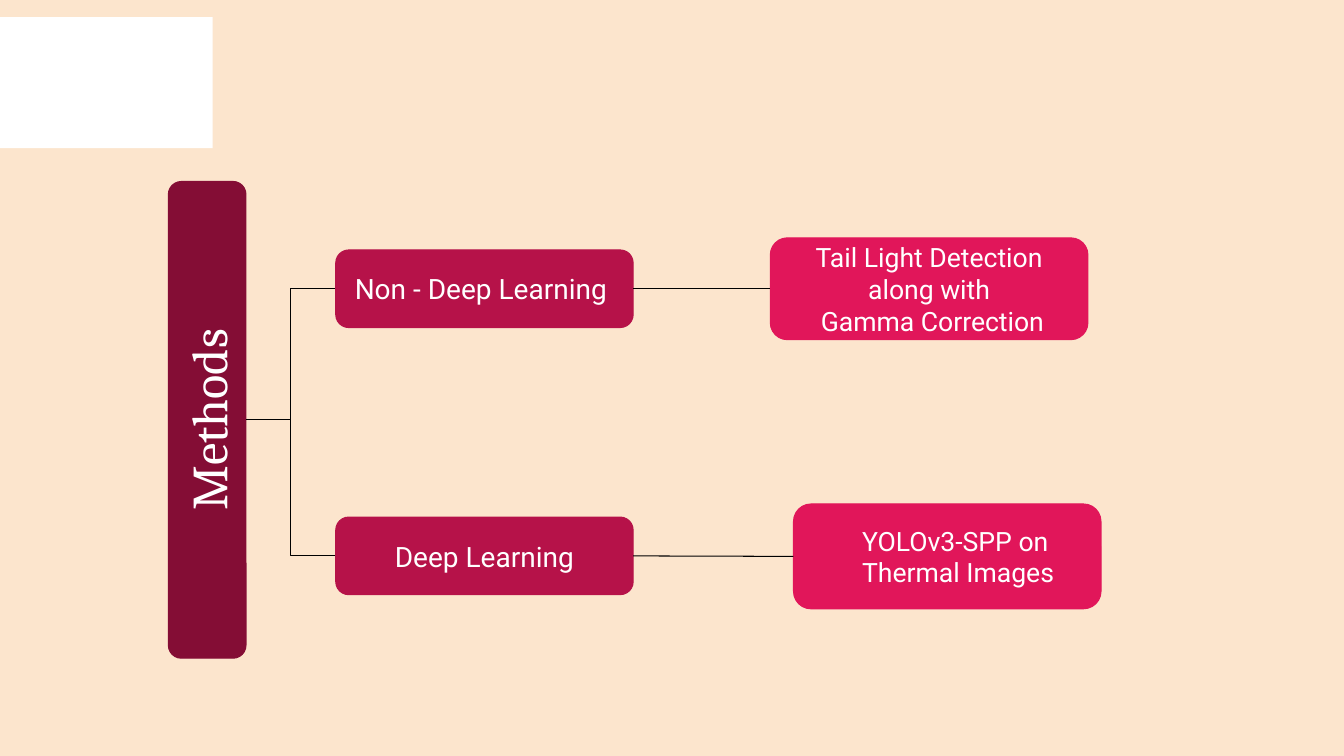
from lxml import etree
from pptx import Presentation
from pptx import util as u
from pptx.dml.color import RGBColor
from pptx.enum import shapes, text
from pptx.oxml.ns import qn

BACKGROUND, WHITE, BLACK = "FCE5CD", "FFFFFF", "000000"
ROOT, BRANCH, LEAF = "840D35", "B61249", "E1165A"
PADDING = 0.13
LEFT_SIDE, RIGHT_SIDE = 1, 3


def color(hex_string):
    return RGBColor.from_string(hex_string)


def add_block(slide, box, kind, fill):
    shape = slide.shapes.add_shape(kind, *(u.Inches(length) for length in box))
    shape.shadow.inherit = False
    shape.fill.solid()
    shape.fill.fore_color.rgb = color(fill)
    shape.line.color.rgb = color(fill)
    shape.line.width = u.Pt(0.75)
    return shape


def add_node(slide, box, fill, lines, size, font="Roboto",
             align=text.PP_ALIGN.CENTER, indent=0):
    shape = add_block(slide, box, shapes.MSO_SHAPE.ROUNDED_RECTANGLE, fill)
    frame = shape.text_frame
    frame.word_wrap = True
    frame.vertical_anchor = text.MSO_ANCHOR.MIDDLE
    frame.margin_top = frame.margin_right = frame.margin_bottom = u.Inches(PADDING)
    frame.margin_left = u.Inches(PADDING + indent)
    for index, line in enumerate(lines):
        paragraph = frame.add_paragraph() if index else frame.paragraphs[0]
        paragraph.alignment = align
        run = paragraph.add_run()
        run.text = line
        run.font.name = font
        run.font.size = u.Pt(size)
        run.font.color.rgb = color(WHITE)
    return shape


def add_line(slide, kind, start, end):
    line = slide.shapes.add_connector(
        kind, *(u.Inches(length) for length in (*start, *end)))
    line.line.color.rgb = color(BLACK)
    line.line.width = u.Pt(0.75)
    etree.SubElement(line._element.spPr, qn("a:effectLst"))
    return line


def add_root(slide, box):
    """Fill an upright box with a bar whose text reads upwards."""
    left, top, width, height = box
    turned = (left + (width - height) / 2, top + (height - width) / 2, height, width)
    add_node(slide, turned, ROOT, ["Methods"], 36, "Cambria").rotation = 270


def add_branch(slide, root_box, box, label, leaf_box, leaf_lines, **leaf_style):
    """Draw one row: elbow from the root, method, line, technique."""
    left, top, width, height = box
    middle = top + height / 2
    root_left, root_top, root_width, root_height = root_box
    add_line(slide, shapes.MSO_CONNECTOR.ELBOW,
             (root_left + root_width, root_top + root_height / 2), (left, middle))
    method = add_node(slide, box, BRANCH, [label], 20)
    technique = add_node(slide, leaf_box, LEAF, leaf_lines, 19, **leaf_style)
    link = add_line(slide, shapes.MSO_CONNECTOR.STRAIGHT,
                    (left + width, middle), (leaf_box[0], middle))
    link.begin_connect(method, RIGHT_SIDE)
    link.end_connect(technique, LEFT_SIDE)


def build_methods_slide(presentation):
    slide = presentation.slides.add_slide(presentation.slide_layouts[6])
    slide.background.fill.solid()
    slide.background.fill.fore_color.rgb = color(BACKGROUND)

    # White corner panel
    add_block(slide, (0, 0.17, 2.11, 1.3), shapes.MSO_SHAPE.RECTANGLE,
              WHITE).line.fill.background()

    # Method tree
    root_box = (1.67, 1.8, 0.77, 4.73)
    add_root(slide, root_box)
    add_branch(slide, root_box, (3.33, 2.48, 2.95, 0.77), "Non - Deep Learning ",
               (7.64, 2.36, 3.15, 1.01),
               ["Tail Light Detection along with", " Gamma Correction"])
    add_branch(slide, root_box, (3.33, 5.13, 2.95, 0.77), "Deep Learning",
               (7.87, 5, 3.05, 1.04), ["YOLOv3-SPP on Thermal Images"],
               align=text.PP_ALIGN.LEFT, indent=0.5)


def main():
    presentation = Presentation()
    presentation.slide_width = u.Inches(13.33)
    presentation.slide_height = u.Inches(7.5)
    build_methods_slide(presentation)
    presentation.save("out.pptx")


if __name__ == "__main__":
    main()
